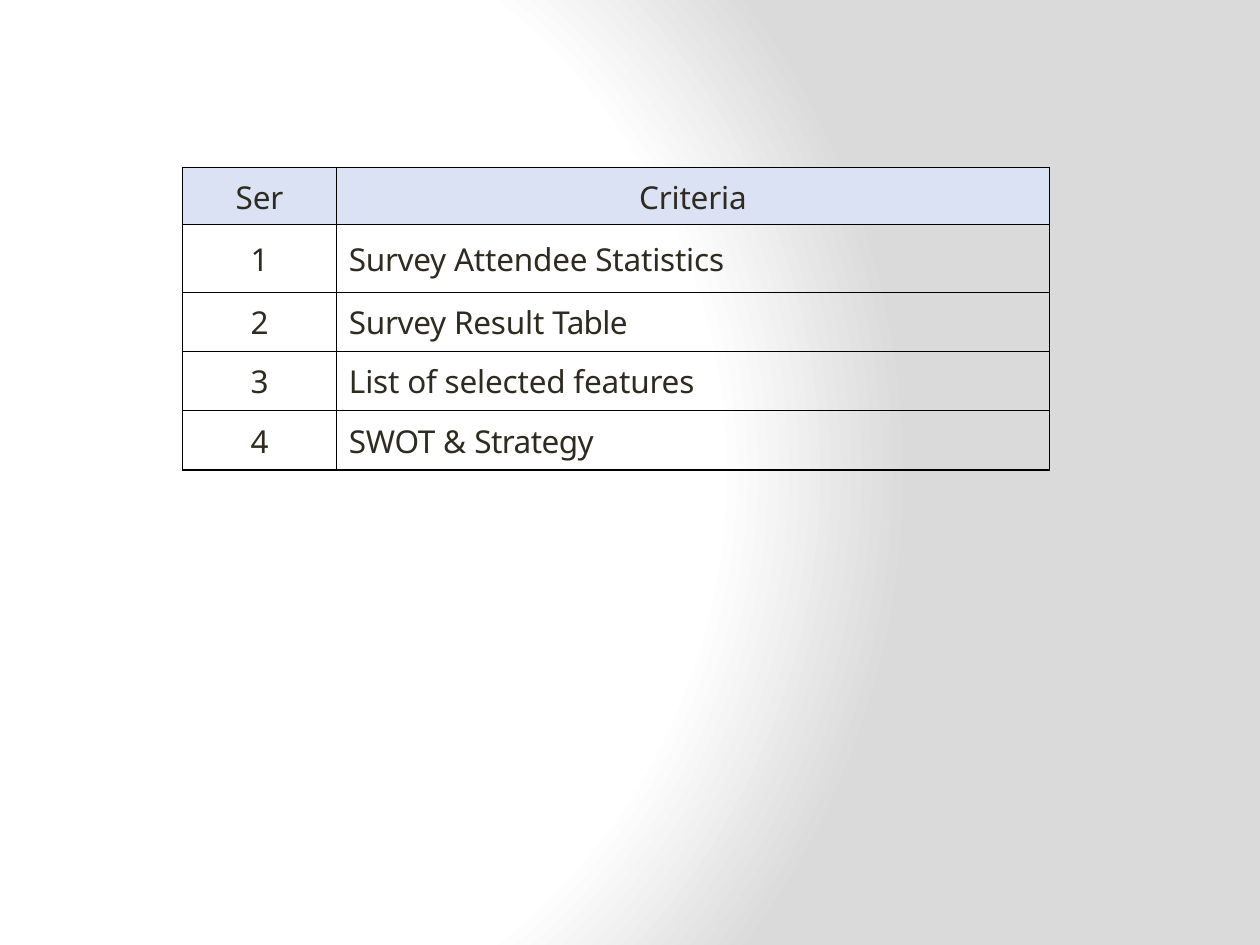
from typing import NamedTuple

from pptx import Presentation
from pptx import util as u
from pptx.dml.color import RGBColor
from pptx.enum import text
from pptx.oxml import ns, parse_xml

FONT = "Noto Sans"
INK, HEADER_FILL, BORDER = "2F2B20", "DAE2F3", "000000"
COLUMN_WIDTHS = (1.22, 5.66)


class Piece(NamedTuple):
    wording: str
    spacing: float  # letter spacing in points


class Row(NamedTuple):
    serial: Piece
    criteria: tuple[Piece, ...]
    height: float = 0.47
    top_margin: float = 0.07
    header: bool = False


ROWS = (
    Row(Piece("Ser", -0.1), (Piece("Criteria", -0.1),), 0.45, header=True),
    Row(Piece("1", 0), (Piece("Survey ", -0.2), Piece("Attendee Statistics", -0.1)),
        0.54, 0.11),
    Row(Piece("2", 0), (Piece("Survey ", -0.2), Piece("Result ", -0.1), Piece("Table", -0.4))),
    Row(Piece("3", 0), (Piece("List of selected features", -0.1),)),
    Row(Piece("4", 0), (Piece("SWOT ", -0.2), Piece("& ", -0.1), Piece("Strategy", -0.3))),
)


def color(value: str) -> RGBColor:
    return RGBColor.from_string(value)


def set_background(slide) -> None:
    stops = "".join(
        f'<a:gs pos="{percent * 1000}"><a:srgbClr val="{shade}"/></a:gs>'
        for percent, shade in ((0, "FFFFFF"), (75, "FFFFFF"), (100, "DADADA"))
    )
    slide._element.cSld.insert(0, parse_xml(
        f'<p:bg {ns.nsdecls("p", "a")}><p:bgPr><a:gradFill rotWithShape="1">'
        f'<a:gsLst>{stops}</a:gsLst><a:path path="circle">'
        '<a:fillToRect l="20000" t="50000" r="100000" b="50000"/></a:path>'
        '</a:gradFill><a:effectLst/></p:bgPr></p:bg>'
    ))


def add_borders(cell) -> None:
    properties = cell._tc.get_or_add_tcPr()
    for position, side in enumerate(("lnL", "lnR", "lnT", "lnB")):
        properties.insert(position, parse_xml(
            f'<a:{side} {ns.nsdecls("a")} w="{u.Pt(1)}"><a:solidFill>'
            f'<a:srgbClr val="{BORDER}"/></a:solidFill></a:{side}>'
        ))


def fill_cell(cell, pieces: tuple[Piece, ...], row: Row, centered: bool) -> None:
    cell.margin_left = cell.margin_right = cell.margin_bottom = 0
    cell.margin_top = u.Inches(row.top_margin)
    if row.header:
        cell.fill.solid()
        cell.fill.fore_color.rgb = color(HEADER_FILL)
    else:
        cell.fill.background()
    add_borders(cell)

    paragraph = cell.text_frame.paragraphs[0]
    if centered:
        paragraph.alignment = text.PP_ALIGN.CENTER
    else:
        paragraph._p.get_or_add_pPr().set("marL", str(u.Inches(0.1)))
    for piece in pieces:
        run = paragraph.add_run()
        run.text = piece.wording
        run.font.name = FONT
        run.font.size = u.Pt(18)
        run.font.bold = False
        run.font.color.rgb = color(INK)
        run._r.get_or_add_rPr().set("spc", str(round(piece.spacing * 100)))


def add_criteria_table(slide) -> None:
    table = slide.shapes.add_table(
        len(ROWS), len(COLUMN_WIDTHS), u.Inches(1.45), u.Inches(1.33),
        u.Inches(sum(COLUMN_WIDTHS)), u.Inches(sum(row.height for row in ROWS)),
    ).table
    table.first_row = table.horz_banding = False
    for column, width in zip(table.columns, COLUMN_WIDTHS):
        column.width = u.Inches(width)
    for index, row in enumerate(ROWS):
        table.rows[index].height = u.Inches(row.height)
        fill_cell(table.cell(index, 0), (row.serial,), row, centered=True)
        fill_cell(table.cell(index, 1), row.criteria, row, centered=row.header)


def main() -> None:
    deck = Presentation()
    deck.slide_width, deck.slide_height = u.Inches(10), u.Inches(7.5)
    slide = deck.slides.add_slide(deck.slide_layouts[6])

    # Radial background
    set_background(slide)

    # Numbered list of criteria
    add_criteria_table(slide)

    deck.save("out.pptx")


if __name__ == "__main__":
    main()
